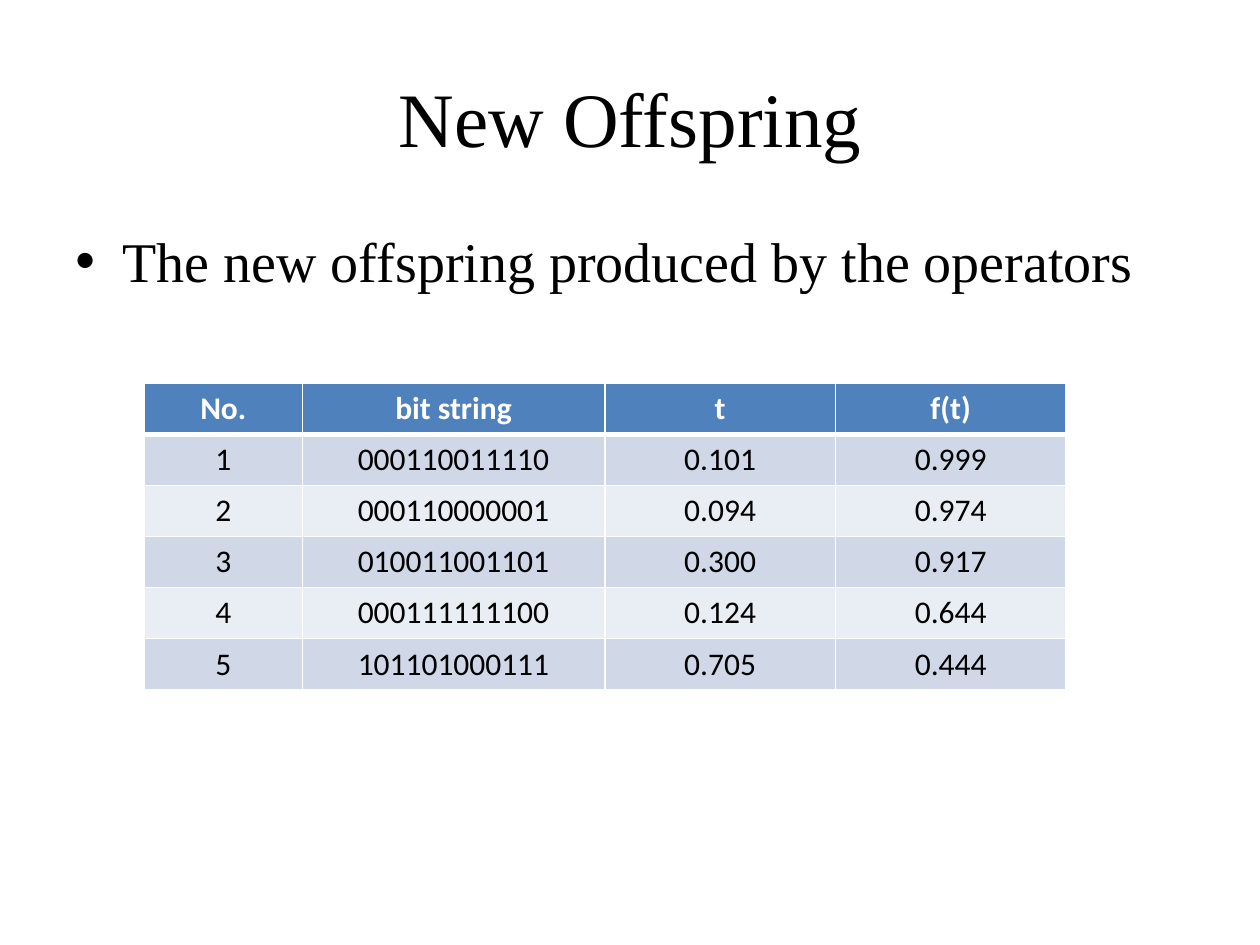
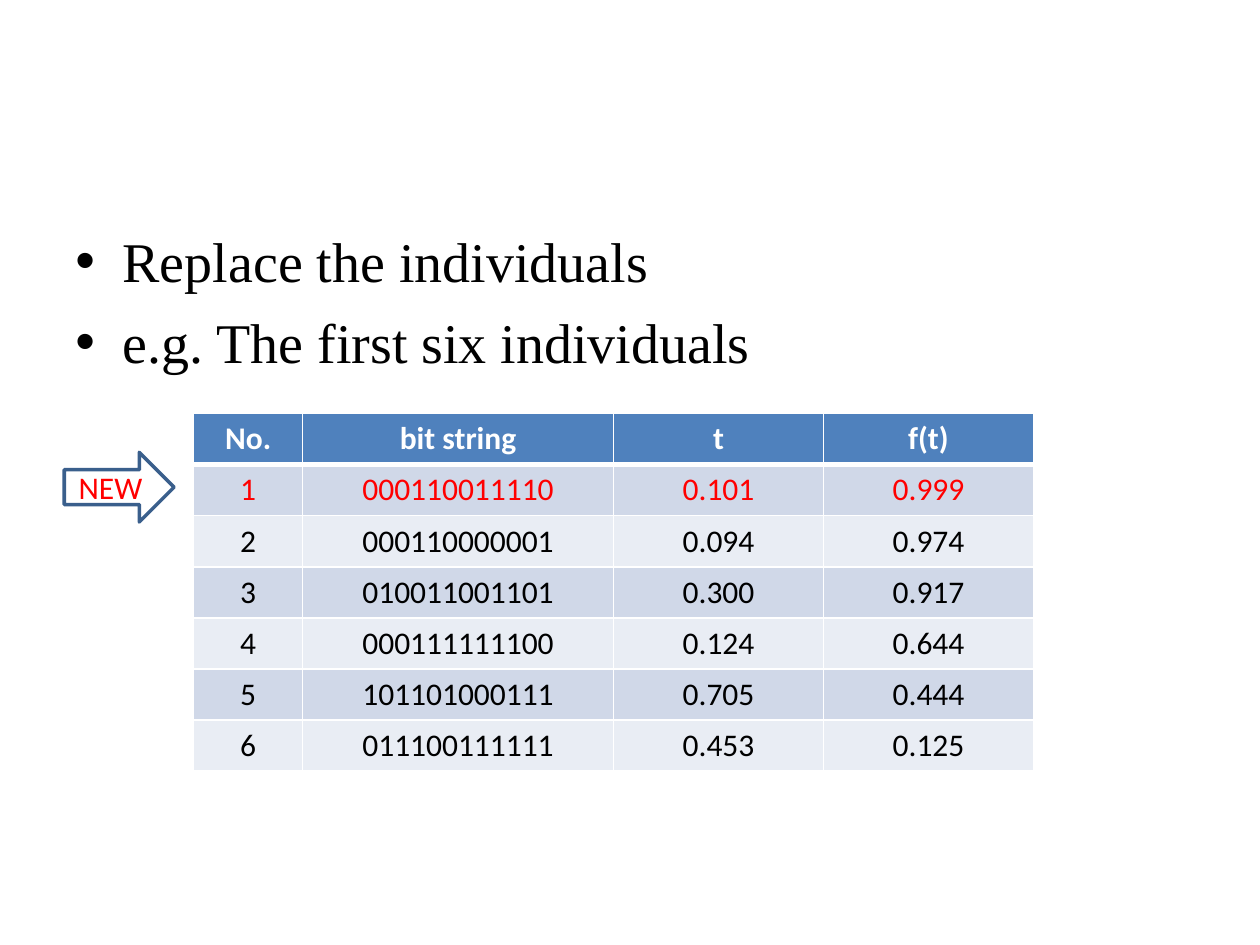
from lxml.etree import SubElement
from pptx import Presentation
from pptx.dml.color import RGBColor
from pptx.enum.shapes import MSO_SHAPE
from pptx.enum.text import MSO_ANCHOR, PP_ALIGN
from pptx.oxml.ns import qn
from pptx.util import Pt

HUES = {
    "ink": "000000",
    "paper": "FFFFFF",
    "head": "4F81BD",
    "dark": "D0D8E8",
    "light": "E9EDF4",
    "new": "FF0000",
    "edge": "3A5F8C",
}
SERIF, SANS = "Times New Roman", "Calibri"
TITLE = (36, 21.6, 648, 90)
BODY = (36, 126, 648, 356.4)
ROW = 29.2
HEADS = ["No.", "bit string", "t", "f(t)"]
BRED = [
    ("000110011110", "0.101", "0.999"),
    ("000110000001", "0.094", "0.974"),
    ("010011001101", "0.300", "0.917"),
    ("000111111100", "0.124", "0.644"),
    ("101101000111", "0.705", "0.444"),
]
KEPT = ("011100111111", "0.453", "0.125")


def tone(name):
    return RGBColor.from_string(HUES[name])


def write(para, text, face, size, hue="ink", bold=False):
    run = para.add_run()
    run.text = text
    font = run.font
    font.name, font.size, font.bold = face, Pt(size), bold
    font.color.rgb = tone(hue)


def add_title(slide, box, text):
    shape = slide.shapes.title
    shape.left, shape.top, shape.width, shape.height = map(Pt, box)
    frame = shape.text_frame
    frame.vertical_anchor = MSO_ANCHOR.MIDDLE
    para = frame.paragraphs[0]
    para.alignment = PP_ALIGN.CENTER
    write(para, text, SERIF, 44)


def add_points(slide, box, lines):
    frame = slide.shapes.add_textbox(*map(Pt, box)).text_frame
    frame.word_wrap = True
    for i, line in enumerate(lines):
        para = frame.add_paragraph() if i else frame.paragraphs[0]
        props = para._p.get_or_add_pPr()
        props.set("marL", str(Pt(27)))
        props.set("indent", str(-Pt(27)))
        SubElement(props, qn("a:buFont"), typeface="Arial")
        SubElement(props, qn("a:buChar"), char="•")
        para.space_before = Pt(8 if i else 0)
        write(para, line, SERIF, 32)


def add_edges(cell, low):
    props = cell._tc.get_or_add_tcPr()
    for side, width in zip("LRTB", (1, 1, 1, low)):
        line = SubElement(props, qn(f"a:ln{side}"), w=str(Pt(width)))
        fill = SubElement(line, qn("a:solidFill"))
        SubElement(fill, qn("a:srgbClr"), val=HUES["paper"])


def add_grid(slide, spot, widths, data, fresh=None):
    rows = [HEADS] + [(str(i), *row) for i, row in enumerate(data, 1)]
    box = (*spot, sum(widths), ROW * len(rows))
    grid = slide.shapes.add_table(len(rows), len(HEADS), *map(Pt, box)).table
    for col, width in zip(grid.columns, widths):
        col.width = Pt(width)
    for r, row in enumerate(rows):
        grid.rows[r].height = Pt(ROW)
        top = r == 0
        fill = "head" if top else "dark" if r % 2 else "light"
        hue = "paper" if top else "new" if r == fresh else "ink"
        for c, text in enumerate(row):
            cell = grid.cell(r, c)
            add_edges(cell, 3 if top else 1)
            cell.fill.solid()
            cell.fill.fore_color.rgb = tone(fill)
            para = cell.text_frame.paragraphs[0]
            para.alignment = PP_ALIGN.CENTER
            write(para, text, SANS, 18, hue, top)


def add_arrow(slide, box, text):
    arrow = slide.shapes.add_shape(MSO_SHAPE.RIGHT_ARROW, *map(Pt, box))
    arrow.shadow.inherit = False
    arrow.fill.background()
    arrow.line.color.rgb = tone("edge")
    arrow.line.width = Pt(2)
    frame = arrow.text_frame
    frame.vertical_anchor = MSO_ANCHOR.MIDDLE
    para = frame.paragraphs[0]
    para.alignment = PP_ALIGN.CENTER
    write(para, text, SANS, 18, "new")


def show_bred(deck):
    slide = deck.slides.add_slide(deck.slide_layouts[5])
    add_title(slide, TITLE, "New Offspring")
    add_points(slide, BODY, ["The new offspring produced by the operators"])
    add_grid(slide, (82.4, 219), (90.4, 172.8, 131.8, 131.8), BRED)


def show_swap(deck):
    slide = deck.slides.add_slide(deck.slide_layouts[6])
    add_points(slide, BODY,
               ["Replace the individuals", "e.g. The first six individuals"])
    add_grid(slide, (110.6, 236.3), (62.4, 177.6, 120, 120), BRED + [KEPT], 1)
    add_arrow(slide, (36.7, 258.5, 62.8, 39.8), "NEW")


def main():
    deck = Presentation()
    deck.slide_width, deck.slide_height = Pt(720), Pt(540)
    show_bred(deck)
    show_swap(deck)
    deck.save("out.pptx")


if __name__ == "__main__":
    main()
